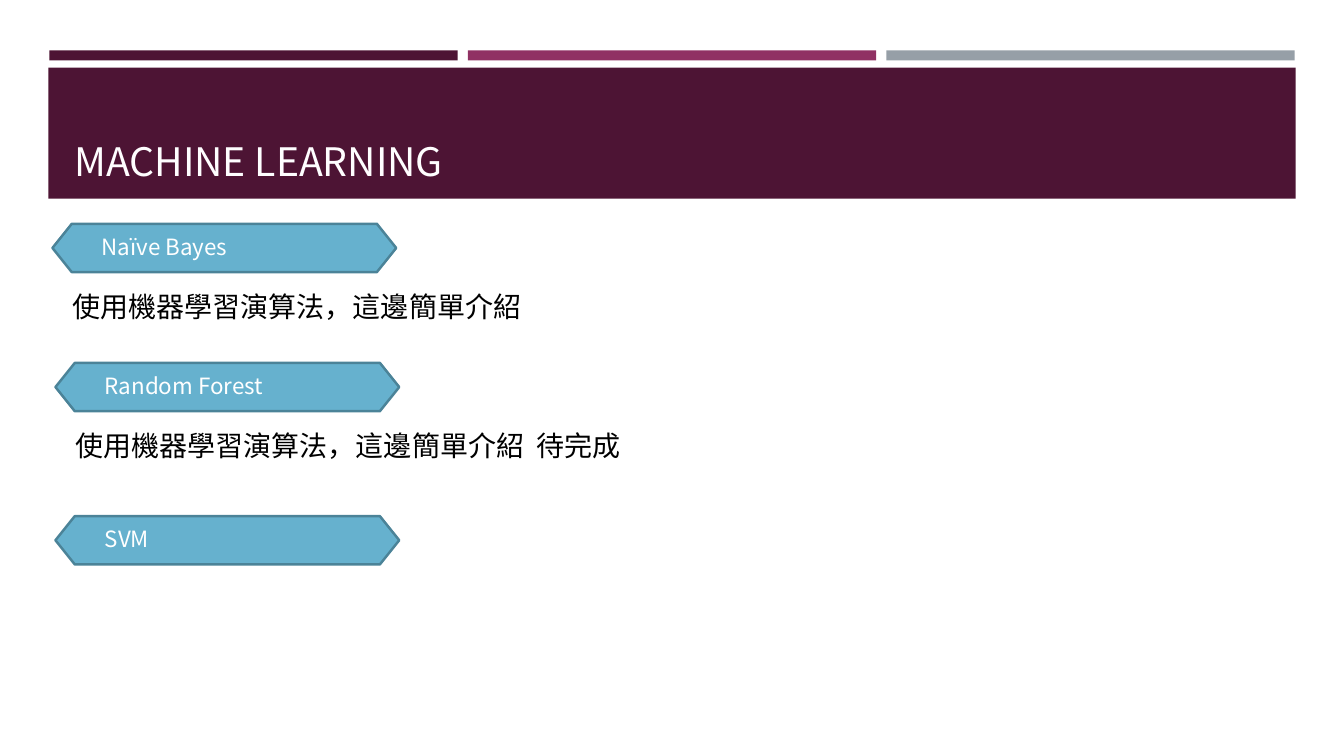
"""Build the machine learning overview slide."""
from dataclasses import dataclass

from lxml import etree
from pptx import Presentation
from pptx.dml.color import RGBColor
from pptx.enum.shapes import MSO_SHAPE
from pptx.enum.text import MSO_ANCHOR
from pptx.oxml.ns import qn
from pptx.shapes.autoshape import Shape
from pptx.slide import Slide
from pptx.util import Inches, Pt

RECTANGLE = MSO_SHAPE.RECTANGLE
HEXAGON = MSO_SHAPE.HEXAGON
TOP, MIDDLE, BOTTOM = MSO_ANCHOR.TOP, MSO_ANCHOR.MIDDLE, MSO_ANCHOR.BOTTOM
FONT = "Noto Sans CJK TC"
COLORS = {
    "plum": "4D1434",
    "magenta": "903163",
    "gray": "969FA7",
    "blue": "66B1CE",
    "blue_edge": "4B8398",
    "title": "FFFEFF",
    "white": "FFFFFF",
    "black": "000000",
}


@dataclass(frozen=True)
class Frame:
    left: float
    top: float
    width: float
    height: float


@dataclass(frozen=True)
class TextStyle:
    size: int
    color: str
    anchor: MSO_ANCHOR = TOP
    side_inset: float = 0.1
    end_inset: float = 0.05
    line_spacing: float = 1.0


@dataclass(frozen=True)
class Algorithm:
    name: str
    left: float
    top: float
    summary: str = ""


TITLE = TextStyle(28, "title", BOTTOM)
LABEL = TextStyle(16, "white", MIDDLE, 0.13, 0.13, 0.9)
SUMMARY = TextStyle(20, "black")

STRIPES = ("plum", "magenta", "gray")
STRIPE_LEFT, STRIPE_STEP = 0.49, 4.15
ALGORITHMS = (
    Algorithm("Naïve Bayes", 0.52, 2.22, "使用機器學習演算法，這邊簡單介紹"),
    Algorithm("Random Forest", 0.55, 3.6, "使用機器學習演算法，這邊簡單介紹  待完成"),
    Algorithm("SVM", 0.55, 5.12),
)


def rgb(name: str) -> RGBColor:
    return RGBColor.from_string(COLORS[name])


def add_block(page: Slide, kind: MSO_SHAPE, frame: Frame, fill: str) -> Shape:
    block = page.shapes.add_shape(
        kind, Inches(frame.left), Inches(frame.top), Inches(frame.width), Inches(frame.height)
    )
    block.shadow.inherit = False
    block.fill.solid()
    block.fill.fore_color.rgb = rgb(fill)
    block.line.fill.background()
    return block


def add_text(page: Slide, frame: Frame, text: str, style: TextStyle) -> None:
    box = page.shapes.add_textbox(
        Inches(frame.left), Inches(frame.top), Inches(frame.width), Inches(frame.height)
    )
    text_frame = box.text_frame
    text_frame.word_wrap = True
    text_frame.vertical_anchor = style.anchor
    text_frame.margin_left = text_frame.margin_right = Inches(style.side_inset)
    text_frame.margin_top = text_frame.margin_bottom = Inches(style.end_inset)
    text_frame.text = text
    para = text_frame.paragraphs[0]
    para.line_spacing = style.line_spacing
    for span in para.runs:
        span.font.size = Pt(style.size)
        span.font.color.rgb = rgb(style.color)
        span.font.name = FONT
        east_asian = etree.SubElement(span._r.get_or_add_rPr(), qn("a:ea"))
        east_asian.set("typeface", FONT)


def add_algorithm(page: Slide, item: Algorithm) -> None:
    badge = add_block(page, HEXAGON, Frame(item.left, item.top, 3.41, 0.48), "blue")
    badge.adjustments[0] = 0.4
    badge.line.color.rgb = rgb("blue_edge")
    badge.line.width = Pt(1.75)
    add_text(page, Frame(item.left + 0.36, item.top + 0.05, 2.69, 0.38), item.name, LABEL)
    if item.summary:
        add_text(page, Frame(item.left + 0.1, item.top + 0.6, 10.54, 0.44), item.summary, SUMMARY)


def main() -> None:
    deck = Presentation()
    deck.slide_width, deck.slide_height = Inches(13.33), Inches(7.5)
    page = deck.slides.add_slide(deck.slide_layouts[6])
    for index, color in enumerate(STRIPES):
        left = STRIPE_LEFT + index * STRIPE_STEP
        add_block(page, RECTANGLE, Frame(left, 0.5, 4.05, 0.1), color)
    add_block(page, RECTANGLE, Frame(0.48, 0.67, 12.37, 1.3), "plum")
    add_text(page, Frame(0.64, 0.77, 12.06, 1.11), "MACHINE LEARNING", TITLE)
    for item in ALGORITHMS:
        add_algorithm(page, item)
    deck.save("out.pptx")


if __name__ == "__main__":
    main()
